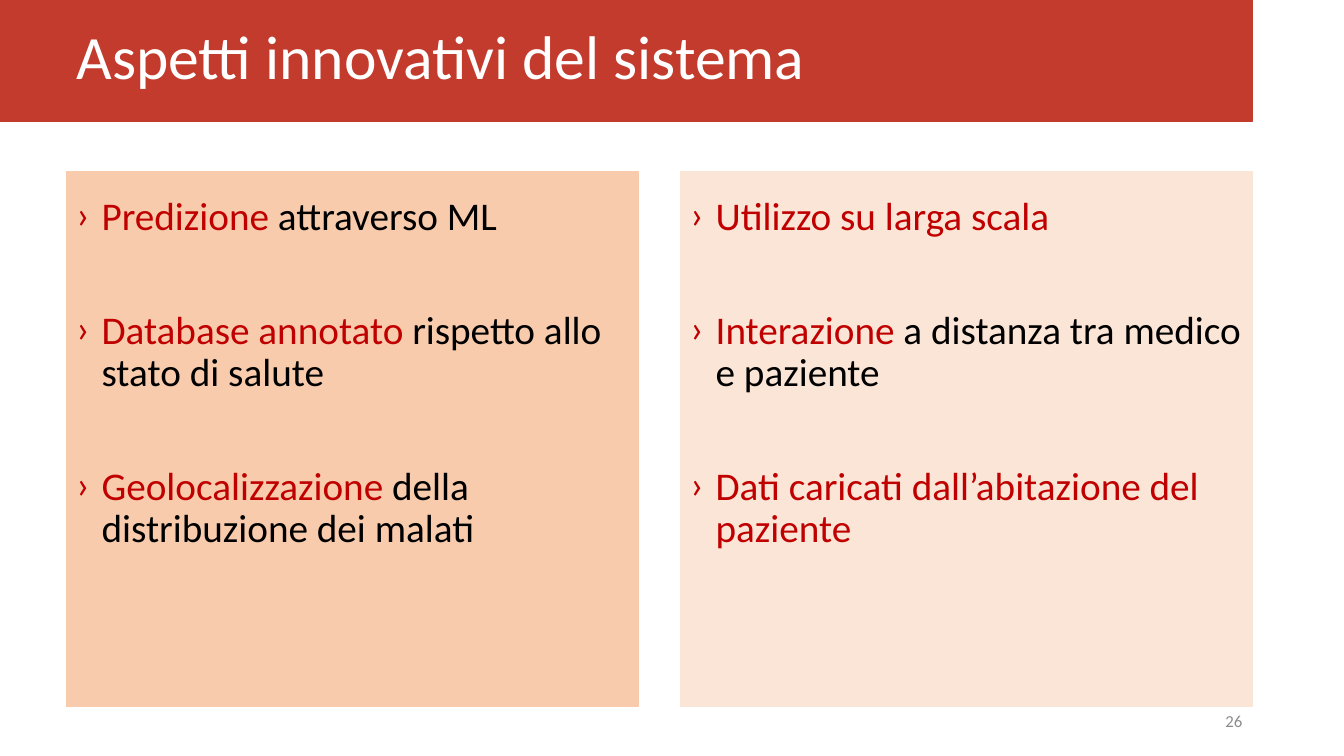
from lxml.etree import SubElement
from pptx import Presentation
from pptx.dml.color import RGBColor
from pptx.enum.shapes import MSO_SHAPE
from pptx.enum.text import MSO_ANCHOR, PP_ALIGN
from pptx.oxml.ns import qn
from pptx.util import Pt

PX = 9144
RED, BLACK, WHITE = "C00000", "000000", "FFFFFF"
LEFT = [
    [("Predizione", RED), (" attraverso ML", BLACK)],
    [("Database annotato ", RED), ("rispetto allo stato di salute", BLACK)],
    [("Geolocalizzazione", RED), (" della distribuzione dei malati", BLACK)],
]
RIGHT = [
    [("Utilizzo su larga scala", RED)],
    [("Interazione", RED), (" a distanza tra medico e paziente", BLACK)],
    [("Dati caricati dall’abitazione del paziente", RED)],
]


def paint(code):
    return RGBColor.from_string(code)


def scale(box):
    return [side * PX for side in box]


def add_block(slide, box, color):
    block = slide.shapes.add_shape(MSO_SHAPE.RECTANGLE, *scale(box))
    block.shadow.inherit = False
    block.fill.solid()
    block.fill.fore_color.rgb = paint(color)
    block.line.color.rgb = paint(color)
    block.line.width = Pt(1)


def add_frame(slide, box, anchor):
    frame = slide.shapes.add_textbox(*scale(box)).text_frame
    frame.word_wrap = True
    frame.vertical_anchor = anchor
    return frame


def add_run(para, text, size, color):
    run = para.add_run()
    run.text = text
    run.font.name = "Calibri"
    run.font.size = Pt(size)
    run.font.color.rgb = paint(color)


def add_bullet(para):
    props = para._p.get_or_add_pPr()
    props.set("marL", str(25 * PX))
    props.set("indent", str(-25 * PX))
    tint = SubElement(props, qn("a:buClr"))
    SubElement(tint, qn("a:srgbClr"), val=RED)
    SubElement(props, qn("a:buFont"), typeface="Calibri")
    SubElement(props, qn("a:buChar"), char="›")


def add_panel(slide, box, color, points):
    x, y, w, h = box
    add_block(slide, box, color)
    frame = add_frame(slide, (x, y + 20, w, h), MSO_ANCHOR.TOP)
    for index, point in enumerate(points):
        para = frame.add_paragraph() if index else frame.paragraphs[0]
        add_bullet(para)
        para.line_spacing = 0.9
        para.space_before = Pt(51 if index else 0)
        for text, tone in point:
            add_run(para, text, 28, tone)


def add_banner(slide, box, title):
    x, y, w, h = box
    add_block(slide, box, "C33B2D")
    frame = add_frame(slide, (x + 66, y - 13, w - 92, h + 25), MSO_ANCHOR.MIDDLE)
    para = frame.paragraphs[0]
    para.line_spacing = 0.9
    add_run(para, title, 44, WHITE)


def add_number(slide, box, number):
    para = add_frame(slide, box, MSO_ANCHOR.MIDDLE).paragraphs[0]
    para.alignment = PP_ALIGN.RIGHT
    add_run(para, number, 12, "8C8C8C")


def main():
    deck = Presentation()
    deck.slide_width, deck.slide_height = scale((1333, 750))
    slide = deck.slides.add_slide(deck.slide_layouts[6])
    panels = [("F8CBAD", LEFT), ("FBE5D6", RIGHT)]
    for index, (color, points) in enumerate(panels):
        add_panel(slide, (66 + index * 609, 170, 567, 531), color, points)
    add_banner(slide, (0, 0, 1242, 120), "Aspetti innovativi del sistema")
    add_number(slide, (942, 695, 300, 40), "26")
    deck.save("out.pptx")


if __name__ == "__main__":
    main()
